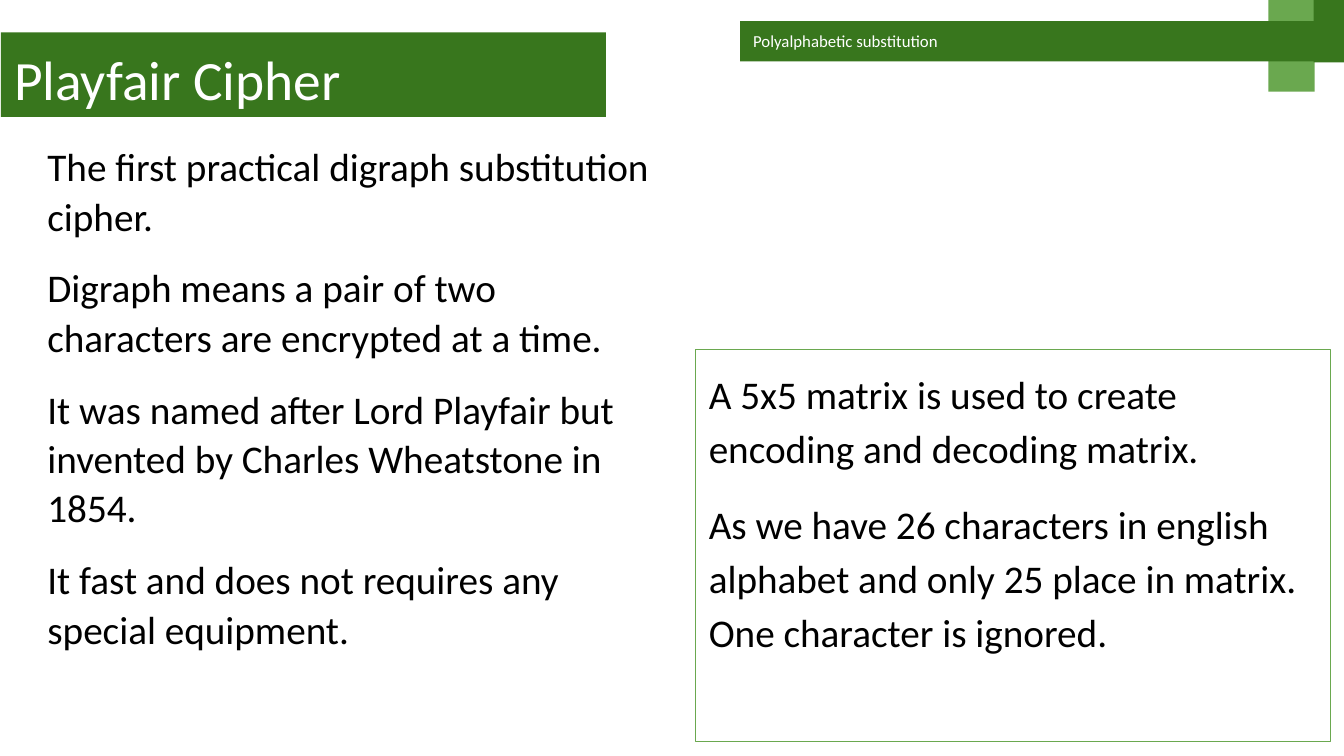
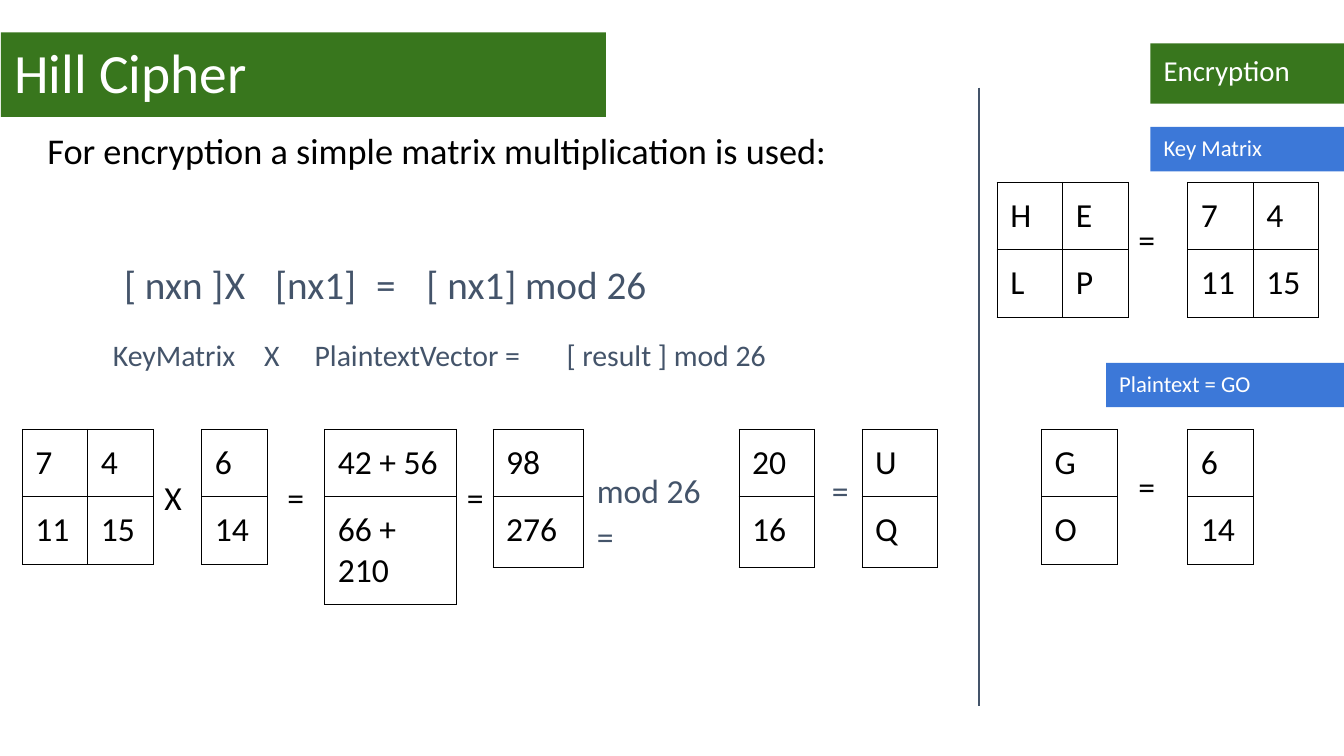
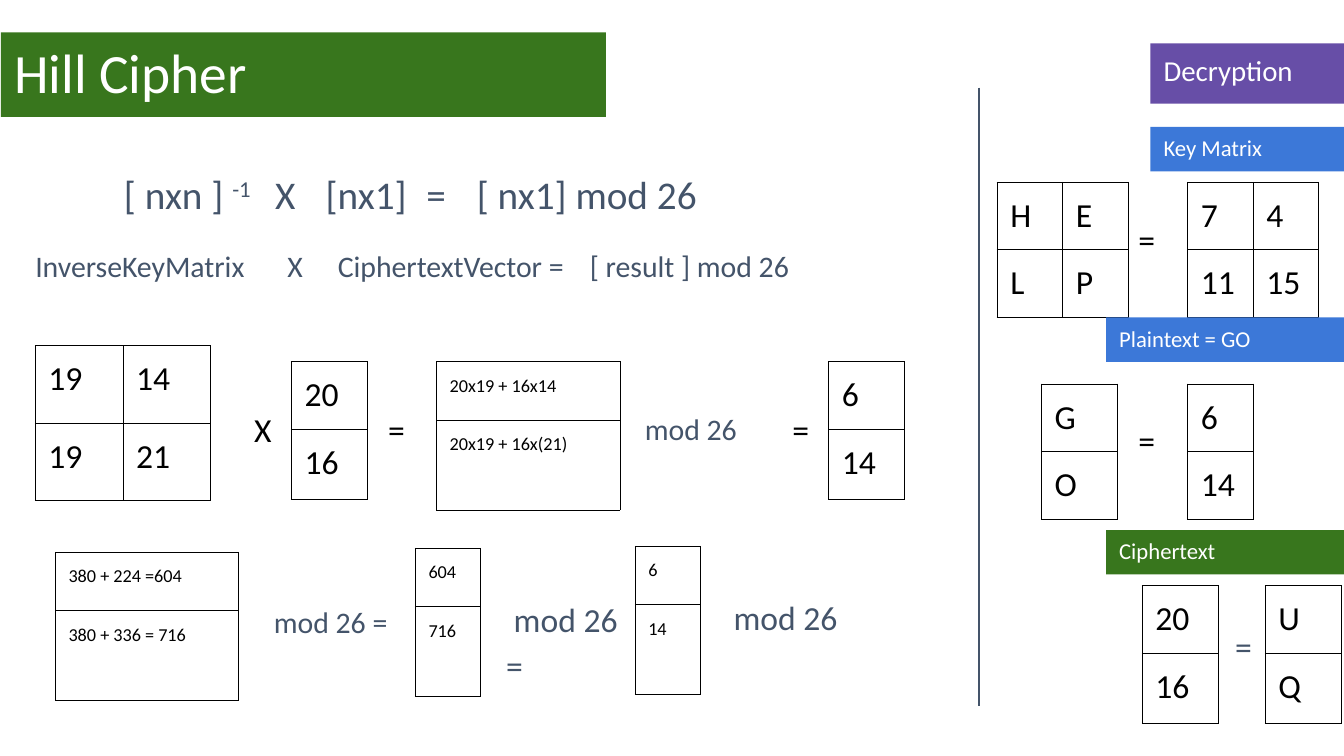
from dataclasses import dataclass

from lxml.etree import SubElement
from pptx import Presentation
from pptx.dml.color import RGBColor
from pptx.enum.shapes import MSO_CONNECTOR, MSO_SHAPE
from pptx.enum.text import MSO_ANCHOR, MSO_AUTO_SIZE, PP_ALIGN
from pptx.oxml.ns import qn
from pptx.shapes.base import BaseShape
from pptx.slide import Slide
from pptx.text.text import TextFrame
from pptx.util import Inches, Pt

COLORS = {
    "green": "38761D",
    "light_green": "6AA84F",
    "blue": "3C78D8",
    "purple": "674EA7",
    "slate": "44546A",
    "black": "000000",
    "white": "FFFFFF",
}
FONT = "Calibri"
INSET = Inches(0.13)
TITLE_ONLY, TITLE_AND_BODY, TWO_BODIES = 5, 1, 3
ROW = 0.67
CELL = 0.65
PAIR = (ROW, 0.7)
SMALL_PAIR = (0.58, 0.89)


@dataclass(frozen=True)
class Band:
    box: tuple[float, float, float, float]
    color: str
    label: str = ""
    size: float = 16.2
    spacing: float = 0.9
    anchor: MSO_ANCHOR = MSO_ANCHOR.MIDDLE


@dataclass(frozen=True)
class Matrix:
    left: float
    top: float
    cells: tuple[tuple[str, ...], ...]
    column: float = CELL
    heights: tuple[float, float] = (ROW, ROW)
    size: float = 24


@dataclass(frozen=True)
class Note:
    box: tuple[float, float, float, float]
    text: str
    size: float = 24
    color: str = "slate"
    spacing: float = 1.15
    after: float = 16
    tabs: tuple[float, ...] = ()


def rgb(name: str) -> RGBColor:
    return RGBColor.from_string(COLORS[name])


def write(frame: TextFrame, *paragraphs: str, size: float, color: str = "black",
          spacing: float = 1.0, before: float = 0, after: float = 0,
          anchor: MSO_ANCHOR = MSO_ANCHOR.TOP, tabs: tuple[float, ...] = (),
          fit: MSO_AUTO_SIZE = MSO_AUTO_SIZE.NONE) -> None:
    frame.word_wrap = True
    frame.auto_size = fit
    frame.vertical_anchor = anchor
    frame.margin_left = frame.margin_right = INSET
    frame.margin_top = frame.margin_bottom = INSET
    for index, text in enumerate(paragraphs):
        paragraph = frame.add_paragraph() if index else frame.paragraphs[0]
        paragraph.alignment = PP_ALIGN.LEFT
        paragraph.line_spacing = spacing
        paragraph.space_before = Pt(before if index else 0)
        paragraph.space_after = Pt(after if index == len(paragraphs) - 1 else 0)
        properties = paragraph._p.get_or_add_pPr()
        properties.set("marL", "0")
        properties.set("indent", "0")
        SubElement(properties, qn("a:buNone"))
        if tabs:
            stops = SubElement(properties, qn("a:tabLst"))
            for stop in tabs:
                SubElement(stops, qn("a:tab"), pos=str(Inches(stop)), algn="l")
        for part, piece in enumerate(text.split("^")):
            run = paragraph.add_run()
            run.text = piece
            run.font.name = FONT
            run.font.size = Pt(size)
            run.font.color.rgb = rgb(color)
            if part % 2:
                run._r.get_or_add_rPr().set("baseline", "30000")


def place(shape: BaseShape, box: tuple[float, float, float, float]) -> None:
    shape.left, shape.top, shape.width, shape.height = map(Inches, box)


def paint(shape: BaseShape, color: str) -> None:
    shape.fill.solid()
    shape.fill.fore_color.rgb = rgb(color)


def add_title(slide: Slide, text: str, spacing: float) -> None:
    title = slide.shapes.title
    place(title, (0.01, 0.32, 6, 0.84))
    paint(title, "green")
    write(title.text_frame, text, size=39.6, color="white", spacing=spacing)


def add_band(slide: Slide, band: Band) -> None:
    shape = slide.shapes.add_shape(MSO_SHAPE.RECTANGLE, *map(Inches, band.box))
    shape.shadow.inherit = False
    shape.line.fill.background()
    paint(shape, band.color)
    if band.label:
        write(shape.text_frame, band.label, size=band.size, color="white",
              spacing=band.spacing, anchor=band.anchor)


def add_note(slide: Slide, note: Note) -> None:
    box = slide.shapes.add_textbox(*map(Inches, note.box))
    write(box.text_frame, note.text, size=note.size, color=note.color,
          spacing=note.spacing, after=note.after, tabs=note.tabs,
          fit=MSO_AUTO_SIZE.SHAPE_TO_FIT_TEXT)


def add_matrix(slide: Slide, matrix: Matrix) -> None:
    columns = len(matrix.cells[0])
    table = slide.shapes.add_table(
        len(matrix.cells), columns, Inches(matrix.left), Inches(matrix.top),
        Inches(matrix.column * columns), Inches(sum(matrix.heights))).table
    table.first_row = table.horz_banding = False
    for column in table.columns:
        column.width = Inches(matrix.column)
    for row, height, values in zip(table.rows, matrix.heights, matrix.cells):
        row.height = Inches(height)
        for cell, value in zip(row.cells, values):
            cell.margin_left = cell.margin_right = INSET
            cell.margin_top = cell.margin_bottom = INSET
            properties = cell._tc.get_or_add_tcPr()
            for side in ("lnL", "lnR", "lnT", "lnB"):
                border = SubElement(properties, qn(f"a:{side}"), w=str(Pt(0.75)))
                fill = SubElement(border, qn("a:solidFill"))
                SubElement(fill, qn("a:srgbClr"), val=COLORS["black"])
            cell.fill.background()
            paragraph = cell.text_frame.paragraphs[0]
            run = paragraph.add_run()
            run.text = value
            run.font.name = FONT
            run.font.size = Pt(matrix.size)
            run.font.color.rgb = rgb("black")


def sign(left: float, top: float, text: str = "=") -> Note:
    return Note((left, top, 0.46, ROW), text, color="black", spacing=1, after=0)


def vector(left: float, top: float, first: str, second: str, column: float = 0.75,
           heights: tuple[float, float] = PAIR, size: float = 24) -> Matrix:
    return Matrix(left, top, ((first,), (second,)), column, heights, size)


def add_all(slide: Slide, *items: Band | Matrix | Note) -> None:
    drawers = {Band: add_band, Matrix: add_matrix, Note: add_note}
    for item in items:
        drawers[type(item)](slide, item)


def ciphertext(left: float, top: float) -> tuple[Matrix, Note, Matrix]:
    return (
        vector(left, top, "20", "16"),
        Note((left + 0.79, top + 0.21, 0.46, 0.96), "="),
        vector(left + 1.22, top, "U", "Q"),
    )


def add_key_panel(slide: Slide, mode: str, mode_color: str, plaintext_top: float) -> None:
    divider = slide.shapes.add_connector(
        MSO_CONNECTOR.STRAIGHT, Inches(9.71), Inches(0.87), Inches(9.71), Inches(7))
    divider.line.color.rgb = rgb("slate")
    divider.line.width = Pt(1.5)
    SubElement(divider._element.spPr, qn("a:effectLst"))
    vector_top = plaintext_top + 0.66
    add_all(
        slide,
        Matrix(9.89, 1.81, (("H", "E"), ("L", "P"))),
        sign(11.16, 2.04),
        Matrix(11.78, 1.81, KEY),
        Band((11.41, 0.43, 1.92, 0.6), mode_color, mode, 20.6, anchor=MSO_ANCHOR.TOP),
        Band((11.41, 1.26, 1.92, 0.44), "blue", "Key Matrix"),
        Band((10.97, plaintext_top, 2.36, 0.44), "blue", "Plaintext = GO"),
        vector(10.33, vector_top, "G", "O", heights=(ROW, ROW)),
        sign(11.16, vector_top + 0.23),
        vector(11.78, vector_top, "6", "14", CELL, (ROW, ROW)),
    )


KEY = (("7", "4"), ("11", "15"))

deck = Presentation()
deck.slide_width = Inches(13.33)
deck.slide_height = Inches(7.5)

playfair = deck.slides.add_slide(deck.slide_layouts[TWO_BODIES])
add_title(playfair, "Playfair Cipher", 1)
history, matrix_rule = playfair.placeholders[1], playfair.placeholders[2]
place(history, (0.34, 1.26, 6.3, 5.94))
write(
    history.text_frame,
    "The first practical digraph substitution cipher.",
    "Digraph means a pair of two characters are encrypted at a time.",
    "It was named after Lord Playfair but invented by Charles Wheatstone in 1854.",
    "It fast and does not requires any special equipment.",
    size=28, spacing=1.05, before=16, after=16,
)
place(matrix_rule, (6.9, 3.47, 6.3, 3.89))
paint(matrix_rule, "white")
matrix_rule.line.color.rgb = rgb("light_green")
matrix_rule.line.width = Pt(0.75)
write(
    matrix_rule.text_frame,
    "A 5x5 matrix is used to create encoding and decoding matrix.",
    "As we have 26 characters in english alphabet and only 25 place in matrix. "
    "One character is ignored.",
    size=28, spacing=1.15, before=16,
)
add_all(
    playfair,
    Band((12.58, 0, 0.46, 0.91), "light_green"),
    Band((13.03, 0, 0.33, 0.62), "green"),
    Band((7.34, 0.21, 6, 0.4), "green", "Polyalphabetic substitution", 12, 1),
)

encryption = deck.slides.add_slide(deck.slide_layouts[TITLE_AND_BODY])
add_title(encryption, "Hill Cipher", 0.9)
intro = encryption.placeholders[1]
place(intro, (0.34, 1.26, 8.51, 0.84))
write(intro.text_frame, "For encryption a simple matrix multiplication is used:",
      size=25.9, spacing=0.7, after=16)
add_key_panel(encryption, "Encryption", "green", 3.6)
add_all(
    encryption,
    Note((1.1, 2.38, 6.12, 1.04), "[ nxn ]\tX\t[nx1]\t=\t[ nx1] mod 26", 28,
         tabs=(1.25, 1.72, 2.69, 3.07)),
    Note((0.99, 3.16, 7.45, 0.91), "KeyMatrix\tX\tPlaintextVector =\t[ result ] mod 26", 21.3,
         tabs=(1.43, 1.77, 3.95)),
    Matrix(0.22, 4.26, KEY),
    vector(2, 4.26, "6", "14", CELL, (ROW, ROW)),
    sign(1.5, 4.6, "X"),
    sign(2.72, 4.6),
    vector(3.22, 4.26, "42 + 56", "66 + 210", 1.31, (ROW, 1.07)),
    vector(4.89, 4.26, "98", "276", 0.9),
    sign(4.5, 4.6),
    Note((5.79, 4.47, 1.4, 1.42), "mod 26 ="),
    *ciphertext(7.33, 4.26),
)

decryption = deck.slides.add_slide(deck.slide_layouts[TITLE_ONLY])
add_title(decryption, "Hill Cipher", 0.9)
add_key_panel(decryption, "Decryption", "purple", 3.15)
add_all(
    decryption,
    Note((1.1, 1.49, 7.16, 1.04), "[ nxn ] ^-1^\tX\t[nx1]\t=\t[ nx1] mod 26", 28,
         tabs=(1.43, 1.9, 2.87, 3.25)),
    Note((0.22, 2.27, 8.52, 0.91),
         "InverseKeyMatrix\tX\tCiphertextVector =\t[ result ] mod 26", 21.3,
         tabs=(2.3, 2.64, 5.02)),
    *ciphertext(11.33, 5.81),
    Band((10.97, 5.26, 2.36, 0.44), "green", "Ciphertext"),
    vector(2.89, 3.59, "20", "16"),
    sign(2.39, 3.93, "X"),
    sign(3.72, 3.93),
    vector(4.33, 3.59, "20x19 + 16x14", "20x19 + 16x(21)", 1.82, SMALL_PAIR, 13),
    vector(8.22, 3.59, "6", "14"),
    sign(7.73, 3.93),
    Matrix(0.35, 3.43, (("19", "14"), ("19", "21")), 0.87, (0.77, 0.77)),
    Note((6.2, 3.89, 1.56, 0.91), " mod 26", 21.3),
    vector(0.55, 5.48, "380 + 224 =604", "380 + 336 = 716", 1.82, SMALL_PAIR, 13),
    Note((2.52, 5.81, 1.99, 0.91), " mod 26 =", 21.3),
    vector(4.12, 5.44, "604", "716", CELL, SMALL_PAIR, 13),
    Note((4.89, 5.75, 1.47, 1.42), " mod 26 ="),
    vector(6.3, 5.42, "6", "14", CELL, SMALL_PAIR, 13),
    Note((7.07, 5.73, 1.47, 0.96), " mod 26"),
)

deck.save("out.pptx")
